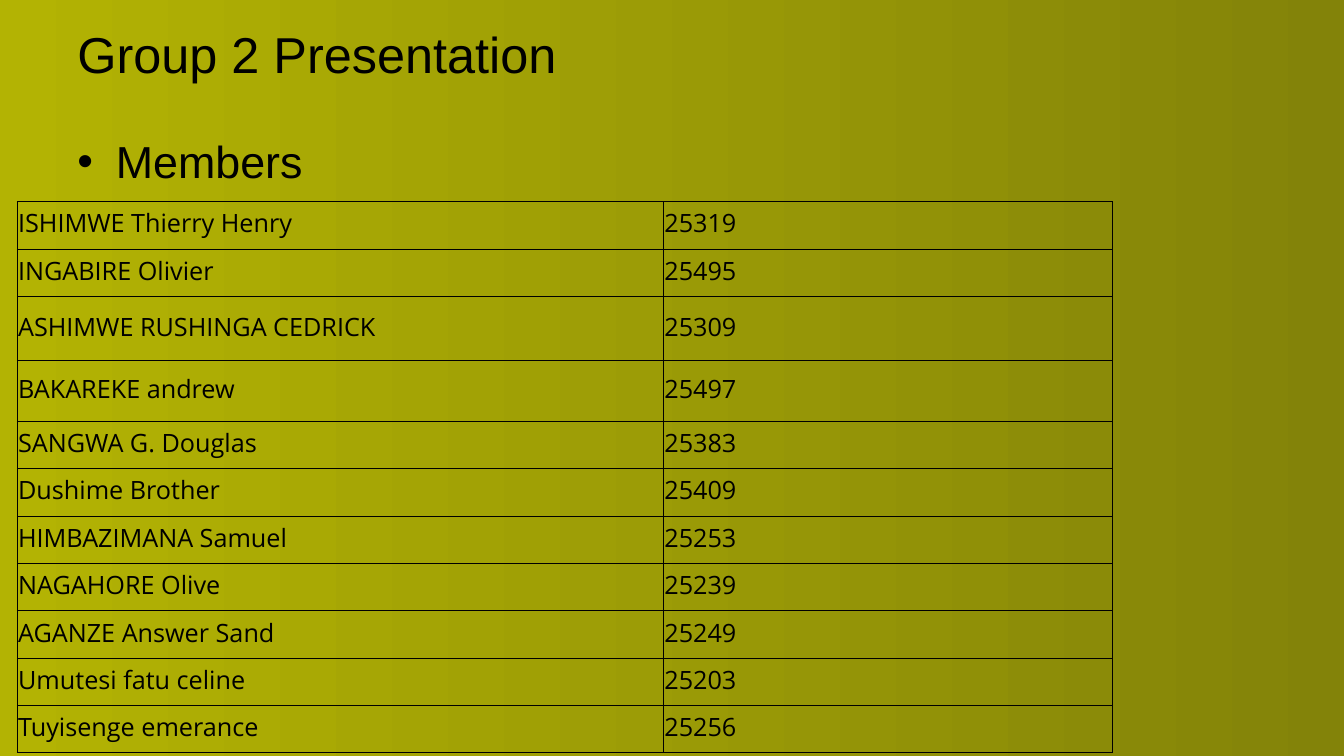
from dataclasses import dataclass
from lxml import etree
from pptx import Presentation
from pptx.dml.color import RGBColor
from pptx.enum.text import MSO_ANCHOR
from pptx.oxml.ns import qn
from pptx.util import Inches, Pt

MIDDLE, TOP = MSO_ANCHOR.MIDDLE, MSO_ANCHOR.TOP

TITLE = "Group 2 Presentation"
HEAD = "Members"
MEMBERS = [
    ("ISHIMWE Thierry Henry", "25319"),
    ("INGABIRE Olivier", "25495"),
    ("ASHIMWE RUSHINGA CEDRICK", "25309"),
    ("BAKAREKE andrew", "25497"),
    ("SANGWA G. Douglas", "25383"),
    ("Dushime Brother", "25409"),
    ("HIMBAZIMANA Samuel", "25253"),
    ("NAGAHORE Olive", "25239"),
    ("AGANZE Answer Sand", "25249"),
    ("Umutesi fatu celine", "25203"),
    ("Tuyisenge emerance", "25256"),
]
WIDTHS = [6.41, 4.45]
ROW = 0.47
TALL = {2: 0.64, 3: 0.6}


@dataclass
class Theme:
    ink: str = "000000"
    back: tuple = ("B3B303", "838309")
    font: str = "Arial"
    cell: str = "Open Sans"
    title: int = 36
    head: int = 32
    body: int = 18
    line: float = 0.5


theme = Theme()


def apply(item, values):
    for name, value in values.items():
        setattr(item, name, value)


def write(frame, text, font, size):
    para = frame.paragraphs[0]
    run = para.add_run()
    run.text = text
    apply(run.font, {"name": font, "size": Pt(size), "bold": False})
    run.font.color.rgb = RGBColor.from_string(theme.ink)
    return para


def add_text(spot, text, size, anchor):
    frame = slide.shapes.add_textbox(*map(Inches, spot)).text_frame
    apply(frame, {"word_wrap": True, "vertical_anchor": anchor})
    return write(frame, text, theme.font, size)


def add_mark(para, indent):
    props = para._p.get_or_add_pPr()
    props.set("marL", str(indent))
    props.set("indent", str(-indent))
    etree.SubElement(props, qn("a:buFont"), typeface=theme.font)
    etree.SubElement(props, qn("a:buChar"), char="•")


def add_edges(cell):
    props = cell._tc.get_or_add_tcPr()
    for side in "LRTB":
        edge = etree.SubElement(props, qn("a:ln" + side), w=str(Pt(theme.line)))
        fill = etree.SubElement(edge, qn("a:solidFill"))
        etree.SubElement(fill, qn("a:srgbClr"), val=theme.ink)


deck = Presentation()
apply(deck, {"slide_width": Inches(13.33), "slide_height": Inches(7.5)})
slide = deck.slides.add_slide(deck.slide_layouts[6])

fill = slide.background.fill
fill.gradient()
fill.gradient_angle = 0
for stop, color in zip(fill.gradient_stops, theme.back):
    stop.color.rgb = RGBColor.from_string(color)

add_text((0.67, 0.21, 12, 0.64), TITLE, theme.title, MIDDLE)
head = add_text((0.67, 1.28, 5.89, 5.42), HEAD, theme.head, TOP)
head.space_before = Pt(theme.head * 0.2)
add_mark(head, Inches(0.38))

highs = [TALL.get(i, ROW) for i in range(len(MEMBERS))]
spot = (0.17, 2, sum(WIDTHS), sum(highs))
table = slide.shapes.add_table(
    len(MEMBERS), len(WIDTHS), *map(Inches, spot)).table
apply(table, {"first_row": False, "horz_banding": False})
for col, width in zip(table.columns, WIDTHS):
    col.width = Inches(width)

form = {
    "vertical_anchor": MIDDLE,
    "margin_left": Inches(0.01),
    "margin_right": Inches(0.01),
    "margin_top": Inches(0.01),
    "margin_bottom": Inches(0.05),
}
for row, high, texts in zip(table.rows, highs, MEMBERS):
    row.height = Inches(high)
    for cell, text in zip(row.cells, texts):
        apply(cell, form)
        write(cell.text_frame, text, theme.cell, theme.body)
        add_edges(cell)
        cell.fill.background()

deck.save("out.pptx")
